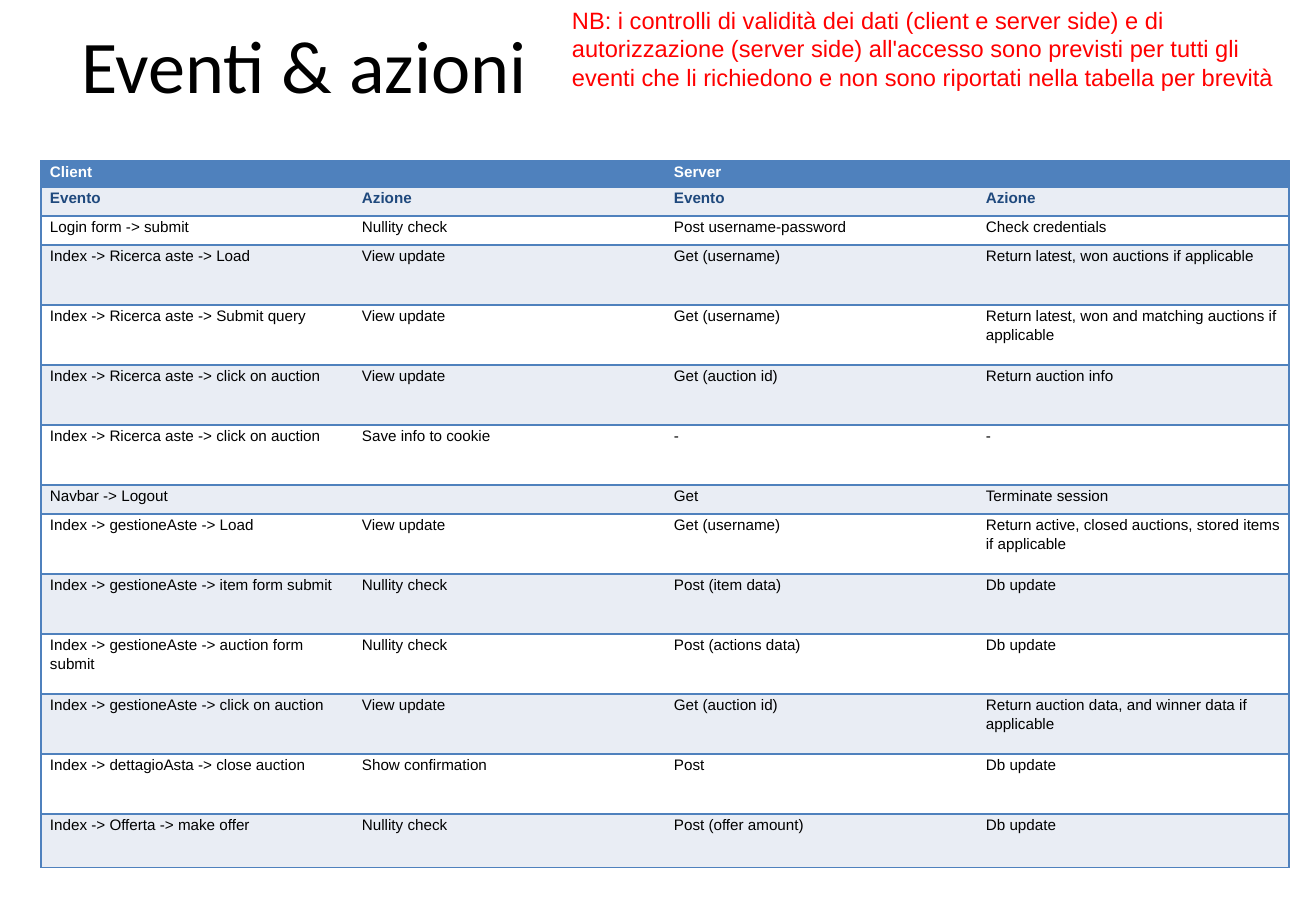
"""Build a slide with a title, a red note and a table of events and actions."""
from dataclasses import dataclass

from lxml import etree
from pptx import Presentation
from pptx import util as u
from pptx.dml.color import RGBColor
from pptx.enum import text
from pptx.oxml.ns import qn

SCALE = 7526


@dataclass(frozen=True)
class Theme:
    blue: str = "4F81BD"
    navy: str = "1F497D"
    band: str = "E9EDF4"
    white: str = "FFFFFF"
    black: str = "000000"
    red: str = "FF0000"
    head: str = "Calibri"
    body: str = "Arial"
    big: int = 44
    mid: int = 14
    small: int = 9
    rule: int = 1


def px(n):
    return u.Emu(n * SCALE)


def rgb(code):
    return RGBColor.from_string(code)


def write(frame, words, font, size, color, bold=False, space=None, after=None):
    par = frame.paragraphs[0]
    par.alignment = text.PP_ALIGN.LEFT
    if space:
        par.line_spacing = space
    if after:
        par.space_after = u.Pt(after)
    if not words:
        end = etree.SubElement(par._p, qn("a:endParaRPr"))
        end.set("sz", str(size * 100))
        return
    run = par.add_run()
    run.text = words
    run.font.name = font
    run.font.size = u.Pt(size)
    run.font.bold = bold
    run.font.color.rgb = rgb(color)


class Page:
    def __init__(self, deck, theme):
        self.theme = theme
        self.slide = deck.slides.add_slide(deck.slide_layouts[6])

    def label(self, words, left, top, width, height, pad=(12, 6), **style):
        box = self.slide.shapes.add_textbox(*map(px, (left, top, width, height)))
        frame = box.text_frame
        frame.word_wrap = True
        frame.vertical_anchor = text.MSO_ANCHOR.TOP
        frame.margin_left = frame.margin_right = px(pad[0])
        frame.margin_top = frame.margin_bottom = px(pad[1])
        write(frame, words, **style)

    def edge(self, cell, sides):
        props = cell._tc.get_or_add_tcPr()
        for spot, side in enumerate("LRTB"):
            line = etree.Element(qn("a:ln" + side))
            if side in sides:
                line.set("w", str(u.Pt(self.theme.rule)))
                fill = etree.SubElement(line, qn("a:solidFill"))
                etree.SubElement(fill, qn("a:srgbClr")).set("val", self.theme.blue)
            else:
                etree.SubElement(line, qn("a:noFill"))
            props.insert(spot, line)

    def cell(self, cell, words, fill, color, bold, sides):
        cell.margin_left, cell.margin_right = px(9), px(8)
        cell.margin_top = cell.margin_bottom = 0
        cell.vertical_anchor = text.MSO_ANCHOR.TOP
        cell.fill.solid()
        cell.fill.fore_color.rgb = rgb(fill)
        write(cell.text_frame, words, self.theme.body, self.theme.small,
              color, bold, space=1.15, after=8)
        self.edge(cell, sides)

    def table(self, rows, left, top, width, highs):
        th = self.theme
        count = len(rows[0])
        grid = self.slide.shapes.add_table(
            len(rows), count, px(left), px(top), px(width), px(sum(highs))).table
        grid.first_row = grid.horz_banding = False
        for col in grid.columns:
            col.width = px(width // count)
        inks = {0: th.white, 1: th.navy}
        for r, row in enumerate(rows):
            grid.rows[r].height = px(highs[r])
            fill = th.blue if r == 0 else th.band if r % 2 else th.white
            for c, words in enumerate(row):
                sides = "TB" + "L" * (c == 0) + "R" * (c == count - 1)
                self.cell(grid.cell(r, c), words, fill,
                          inks.get(r, th.black), r in inks, sides)


ROWS = [
    ("Client", "", "Server", ""),
    ("Evento", "Azione", "Evento", "Azione"),
    ("Login form -> submit", "Nullity check", "Post username-password",
     "Check credentials"),
    ("Index -> Ricerca aste -> Load", "View update", "Get (username)",
     "Return latest, won auctions if applicable"),
    ("Index -> Ricerca aste -> Submit query", "View update", "Get (username)",
     "Return latest, won and matching auctions if applicable"),
    ("Index -> Ricerca aste -> click on auction", "View update",
     "Get (auction id)", "Return auction info"),
    ("Index -> Ricerca aste -> click on auction", "Save info to cookie", "-", "-"),
    ("Navbar -> Logout", "", "Get", "Terminate session"),
    ("Index -> gestioneAste -> Load", "View update", "Get (username)",
     "Return active, closed auctions, stored items if applicable"),
    ("Index -> gestioneAste -> item form submit", "Nullity check",
     "Post (item data)", "Db update"),
    ("Index -> gestioneAste -> auction form submit", "Nullity check",
     "Post (actions data)", "Db update"),
    ("Index -> gestioneAste -> click on auction", "View update",
     "Get (auction id)", "Return auction data, and winner data if applicable"),
    ("Index -> dettagioAsta -> close auction", "Show confirmation", "Post",
     "Db update"),
    ("Index -> Offerta -> make offer", "Nullity check", "Post (offer amount)",
     "Db update"),
]
HIGHS = [26, 29, 29] + [60] * 4 + [29] + [60] * 5 + [54]
NOTE = ("NB: i controlli di validità dei dati (client e server side) e di "
        "autorizzazione (server side) all'accesso sono previsti per tutti gli "
        "eventi che li richiedono e non sono riportati nella tabella per brevità")


def main():
    deck = Presentation()
    deck.slide_width, deck.slide_height = px(1316), px(911)
    th = Theme()
    page = Page(deck, th)
    page.label("Eventi & azioni", 66, 8, 1185, 152, pad=(15, 11),
               font=th.head, size=th.big, color=th.black)
    page.label(NOTE, 560, 0, 740, 98,
               font=th.body, size=th.mid, color=th.red)
    page.table(ROWS, 41, 161, 1248, HIGHS)
    deck.save("out.pptx")


if __name__ == "__main__":
    main()
